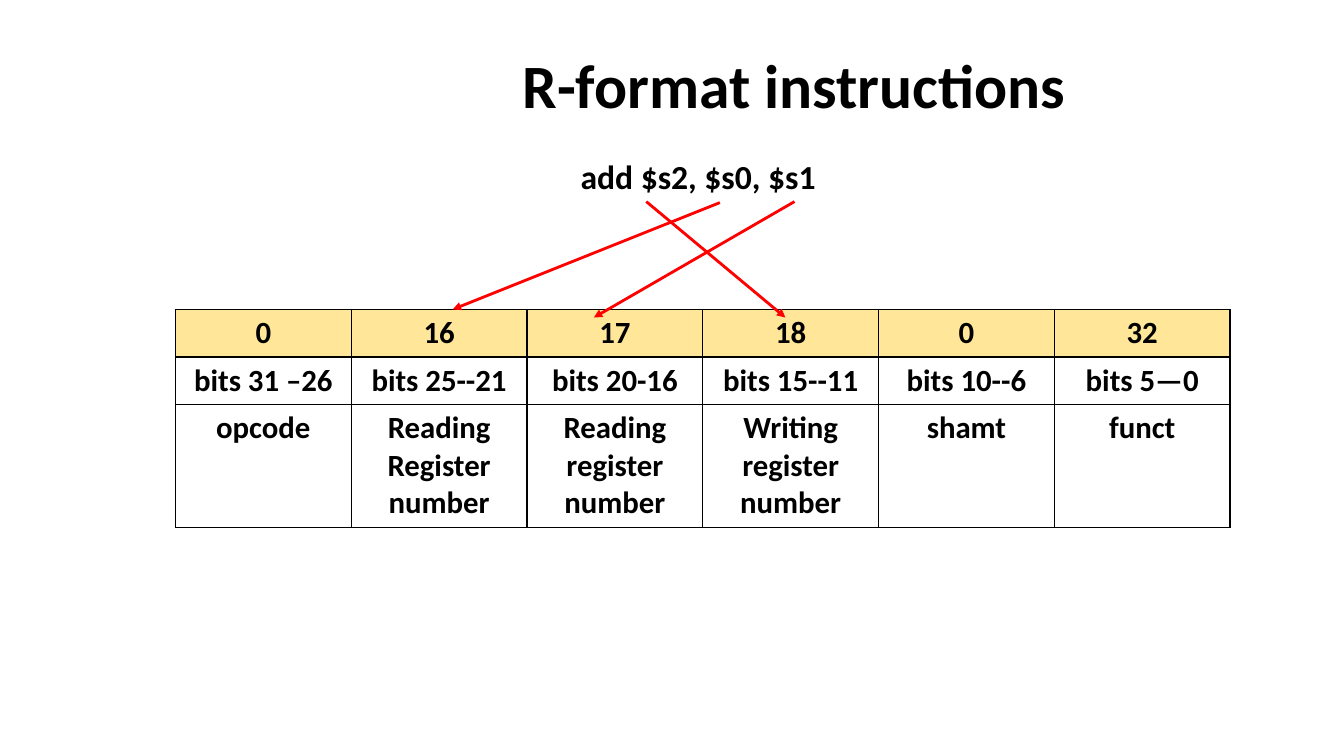
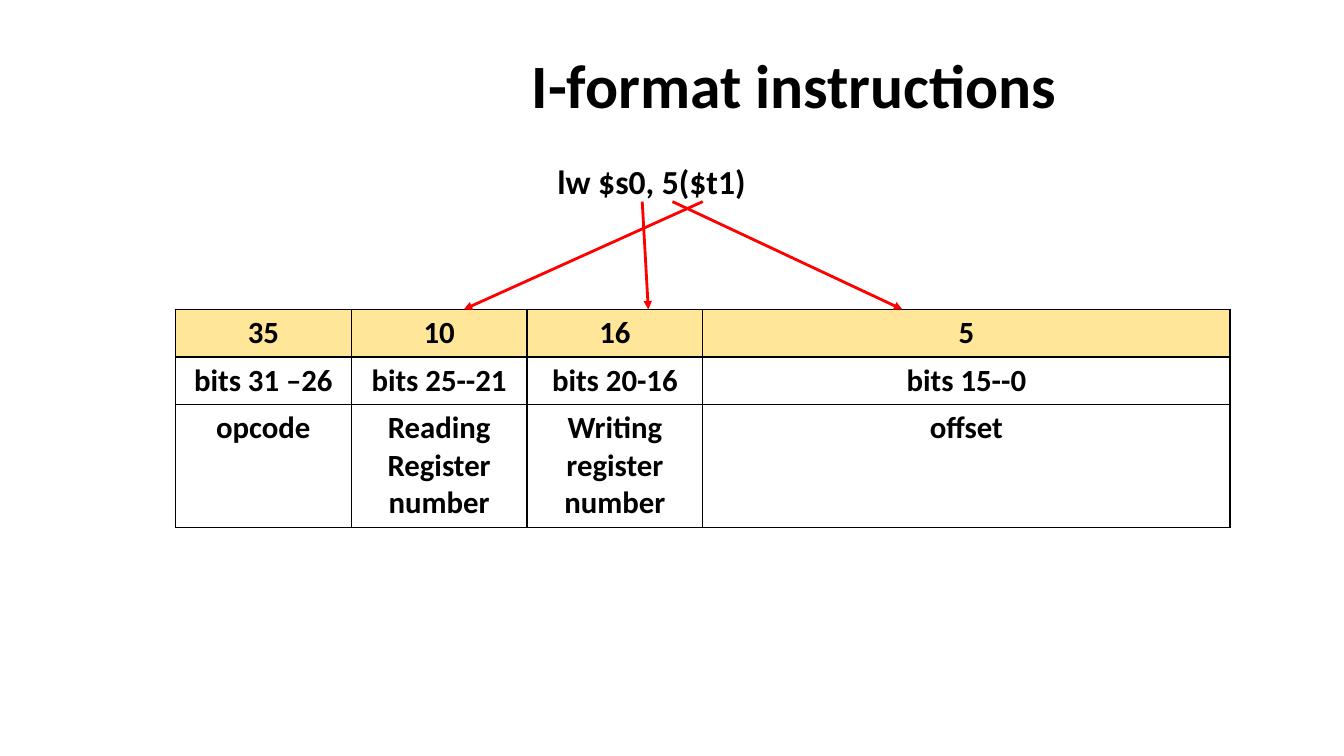
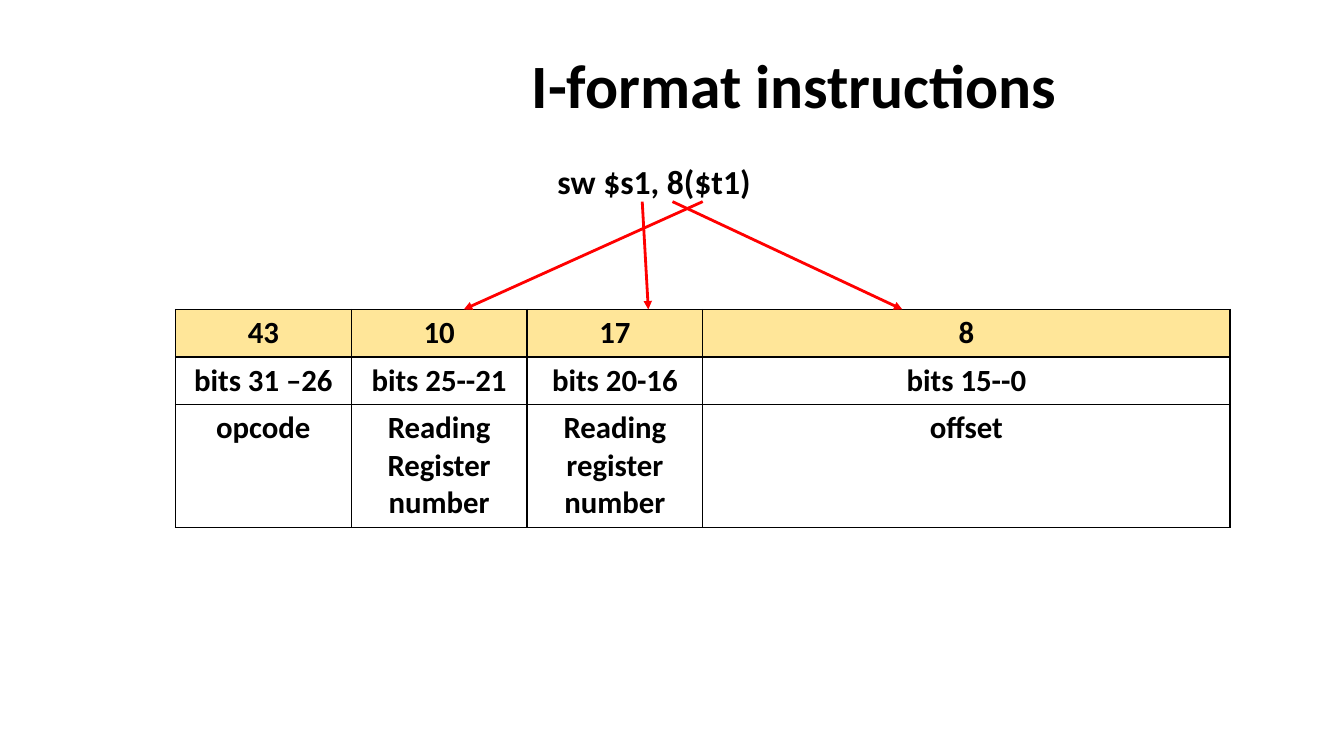
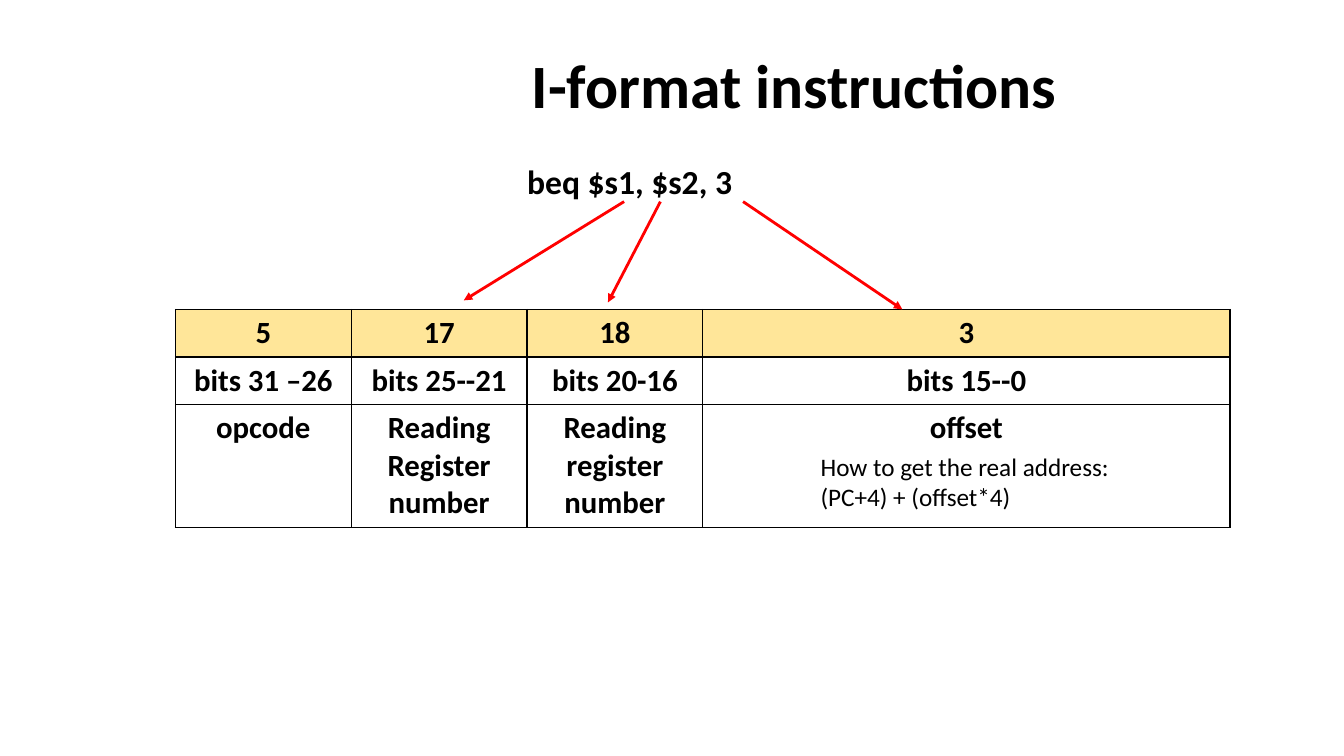
from pptx import Presentation
from pptx.dml.color import RGBColor
from pptx.enum.shapes import MSO_CONNECTOR
from pptx.enum.text import MSO_ANCHOR, MSO_AUTO_SIZE, PP_ALIGN
from pptx.oxml.ns import qn
from pptx.util import Inches, Pt
from lxml import etree

STRAIGHT = MSO_CONNECTOR.STRAIGHT
MIDDLE = MSO_ANCHOR.MIDDLE
GROW = MSO_AUTO_SIZE.SHAPE_TO_FIT_TEXT
LEFT, CENTER = PP_ALIGN.LEFT, PP_ALIGN.CENTER

FONT = "Calibri"
BLACK, WHITE, RED, YELLOW = "000000", "FFFFFF", "FF0000", "FFE699"

TITLE_BOX = (3.18, 0.15, 9.4, 1.45)
TABLE_LEFT, TABLE_TOP, TABLE_WIDTH = 1.74, 3.07, 10.46
ROW_HEIGHTS = (0.47, 0.47, 1.21)
NOTE_WIDTH = 3.68
ARROW_TOP = 2

R_SPANS = (1, 1, 1, 1, 1, 1)
I_SPANS = (1, 1, 1, 3)
R_BITS = ("bits 31 –26", "bits 25--21", "bits 20-16", "bits 15--11", "bits 10--6", "bits 5—0")
I_BITS = R_BITS[:3] + ("bits 15--0",)
FIRST_REGISTER = "Reading\nRegister\nnumber"
READING = "Reading register number"
WRITING = "Writing register number"
MEMORY_ARROWS = (((6.97, ARROW_TOP), (4.6, TABLE_TOP)),
                 ((6.37, ARROW_TOP), (6.43, TABLE_TOP)),
                 ((6.67, ARROW_TOP), (8.95, TABLE_TOP)))


def color(value):
    """Turn a hex string into a colour."""
    return RGBColor.from_string(value)


def style_text(frame, size, bold=True, align=LEFT):
    """Give every paragraph of a frame the deck's font."""
    for para in frame.paragraphs:
        para.alignment = align
        para.font.name = FONT
        para.font.size = Pt(size)
        para.font.bold = bold
        para.font.color.rgb = color(BLACK)


def add_title(page, text):
    """Place and format the title placeholder."""
    title = page.shapes.title
    title.left, title.top, title.width, title.height = map(Inches, TITLE_BOX)
    frame = title.text_frame
    frame.text = text
    frame.vertical_anchor = MIDDLE
    style_text(frame, 44, align=CENTER)
    frame.paragraphs[0].line_spacing = 0.9


def add_note(page, left, top, height, text, size, bold=True):
    """Add a text box that grows with its text."""
    box = page.shapes.add_textbox(*map(Inches, (left, top, NOTE_WIDTH, height)))
    frame = box.text_frame
    frame.word_wrap = True
    frame.auto_size = GROW
    frame.text = text
    style_text(frame, size, bold)


def add_arrow(page, start, end):
    """Draw a red arrow between two points."""
    arrow = page.shapes.add_connector(STRAIGHT, *map(Inches, start + end))
    arrow.line.color.rgb = color(RED)
    arrow.line.width = Pt(2)
    line = arrow.line._get_or_add_ln()
    etree.SubElement(line, qn("a:tailEnd"), type="triangle")
    etree.SubElement(arrow._element.spPr, qn("a:effectLst"))


def add_borders(cell):
    """Draw a thin black line on each side of a cell."""
    properties = cell._tc.get_or_add_tcPr()
    for side in ("a:lnL", "a:lnR", "a:lnT", "a:lnB"):
        line = etree.SubElement(properties, qn(side), w=str(Pt(1)))
        fill = etree.SubElement(line, qn("a:solidFill"))
        etree.SubElement(fill, qn("a:srgbClr"), val=BLACK)


def add_fields(page, spans, rows):
    """Add the table of instruction fields, with column widths by span."""
    frame = page.shapes.add_table(
        len(rows), len(spans), Inches(TABLE_LEFT), Inches(TABLE_TOP),
        Inches(TABLE_WIDTH), Inches(sum(ROW_HEIGHTS)))
    table = frame.table
    table.first_row = table.horz_banding = False
    for column, span in zip(table.columns, spans):
        column.width = Inches(TABLE_WIDTH * span / sum(spans))
    for index, texts in enumerate(rows):
        table.rows[index].height = Inches(ROW_HEIGHTS[index])
        for cell, text in zip(table.rows[index].cells, texts):
            cell.text = text
            style_text(cell.text_frame, 22, align=CENTER)
            add_borders(cell)
            cell.fill.solid()
            cell.fill.fore_color.rgb = color(WHITE if index else YELLOW)


def add_instruction(deck, title, code, code_at, spans, rows, arrows):
    """Add a slide that maps an instruction to its fields."""
    page = deck.slides.add_slide(deck.slide_layouts[5])
    add_title(page, title)
    add_fields(page, spans, rows)
    for start, end in arrows:
        add_arrow(page, start, end)
    add_note(page, *code_at, 0.5, code, 24)
    return page


def add_i_format(deck, code, left, values, second_register, arrows):
    """Add a slide for an I-format instruction."""
    names = ("opcode", FIRST_REGISTER, second_register, "offset")
    return add_instruction(deck, "I-format instructions", code, (left, 1.55),
                           I_SPANS, (values, I_BITS, names), arrows)


def main():
    """Build and save the deck."""
    deck = Presentation()
    deck.slide_width, deck.slide_height = Inches(13.33), Inches(7.5)

    add_instruction(
        deck, "R-format instructions", "add $s2, $s0, $s1", (5.66, 1.5), R_SPANS,
        (("0", "16", "17", "18", "0", "32"), R_BITS,
         ("opcode", FIRST_REGISTER, READING, WRITING, "shamt", "funct")),
        (((7.88, ARROW_TOP), (5.89, 3.15)),
         ((7.14, 2.01), (4.49, TABLE_TOP)),
         ((6.41, ARROW_TOP), (7.79, 3.15))))

    add_i_format(deck, "lw $s0, 5($t1)", 5.43, ("35", "10", "16", "5"), WRITING, MEMORY_ARROWS)
    add_i_format(deck, "sw $s1, 8($t1)", 5.43, ("43", "10", "17", "8"), READING, MEMORY_ARROWS)
    branch = add_i_format(
        deck, "beq $s1, $s2, 3", 5.13, ("5", "17", "18", "3"), READING,
        (((6.55, ARROW_TOP), (6.03, 3)),
         ((6.19, ARROW_TOP), (4.6, 2.98)),
         ((7.37, ARROW_TOP), (8.95, TABLE_TOP))))
    add_note(branch, 8.04, 4.43, 0.71,
             "How to get the real address:\n(PC+4) + (offset*4)", 18, bold=False)

    deck.save("out.pptx")


if __name__ == "__main__":
    main()
